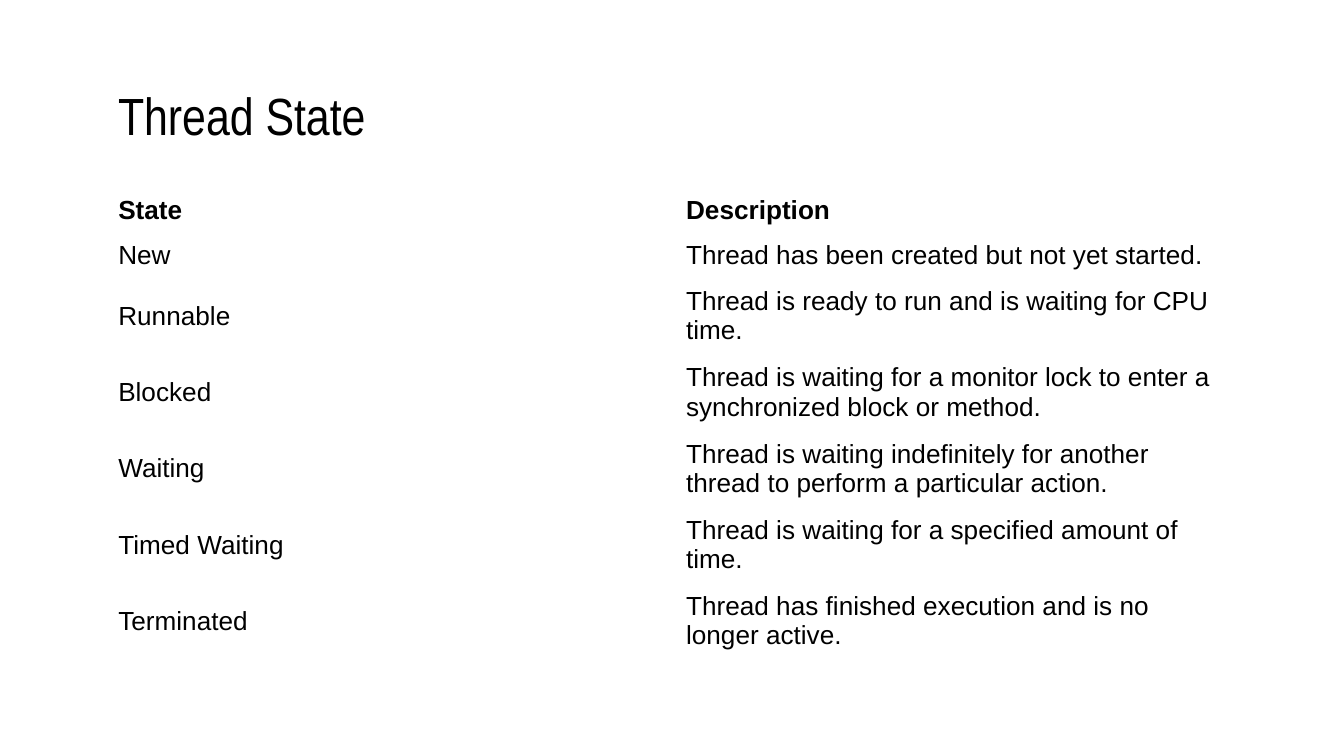
from dataclasses import dataclass

from pptx import Presentation
from pptx.dml.color import RGBColor
from pptx.enum.text import MSO_ANCHOR
from pptx.util import Inches, Pt


@dataclass(frozen=True)
class Theme:
    ink: RGBColor = RGBColor(0x00, 0x00, 0x00)
    paper: RGBColor = RGBColor(0xFF, 0xFF, 0xFF)
    title_font: str = "Arial Narrow"
    body_font: str = "Arial"
    title_size: Pt = Pt(28)
    body_size: Pt = Pt(14)


theme = Theme()


def add_text(frame, text, font_name, size, bold=False):
    span = frame.paragraphs[0].add_run()
    span.text = text
    span.font.name = font_name
    span.font.size = size
    span.font.bold = bold
    span.font.color.rgb = theme.ink


LEFT, WIDTH = Inches(0.78), Inches(8.45)
TABLE_HEIGHT = Inches(3.5)
SINGLE_LINE = Inches(0.33)
DOUBLE_LINE = (TABLE_HEIGHT - 2 * SINGLE_LINE) // 5

# State, description, row height
thread_states = [
    ("State", "Description", SINGLE_LINE),
    ("New", "Thread has been created but not yet started.", SINGLE_LINE),
    ("Runnable", "Thread is ready to run and is waiting for CPU time.", DOUBLE_LINE),
    ("Blocked", "Thread is waiting for a monitor lock to enter a synchronized block or method.", DOUBLE_LINE),
    ("Waiting", "Thread is waiting indefinitely for another thread to perform a particular action.", DOUBLE_LINE),
    ("Timed Waiting", "Thread is waiting for a specified amount of time.", DOUBLE_LINE),
    ("Terminated", "Thread has finished execution and is no longer active.", DOUBLE_LINE),
]

deck = Presentation()
deck.slide_width = Inches(10)
deck.slide_height = deck.slide_width * 9 // 16
page = deck.slides.add_slide(deck.slide_layouts[6])
page.background.fill.solid()
page.background.fill.fore_color.rgb = theme.paper

title_box = page.shapes.add_textbox(LEFT, Inches(0.59), WIDTH, Inches(0.53))
title_frame = title_box.text_frame
title_frame.word_wrap = True
title_frame.vertical_anchor = MSO_ANCHOR.MIDDLE
title_frame.margin_left = title_frame.margin_right = Inches(0.1)
title_frame.margin_top = title_frame.margin_bottom = Inches(0.1)
add_text(title_frame, "Thread State", theme.title_font, theme.title_size)

state_table = page.shapes.add_table(
    len(thread_states), 2, LEFT, Inches(1.4), WIDTH, TABLE_HEIGHT
).table
state_table.first_row = False
state_table.horz_banding = False

for row_index, (state, description, height) in enumerate(thread_states):
    state_table.rows[row_index].height = height
    for column_index, text in enumerate((state, description)):
        cell = state_table.cell(row_index, column_index)
        cell.fill.background()
        cell.vertical_anchor = MSO_ANCHOR.MIDDLE
        add_text(cell.text_frame, text, theme.body_font, theme.body_size, bold=row_index == 0)

deck.save("out.pptx")
